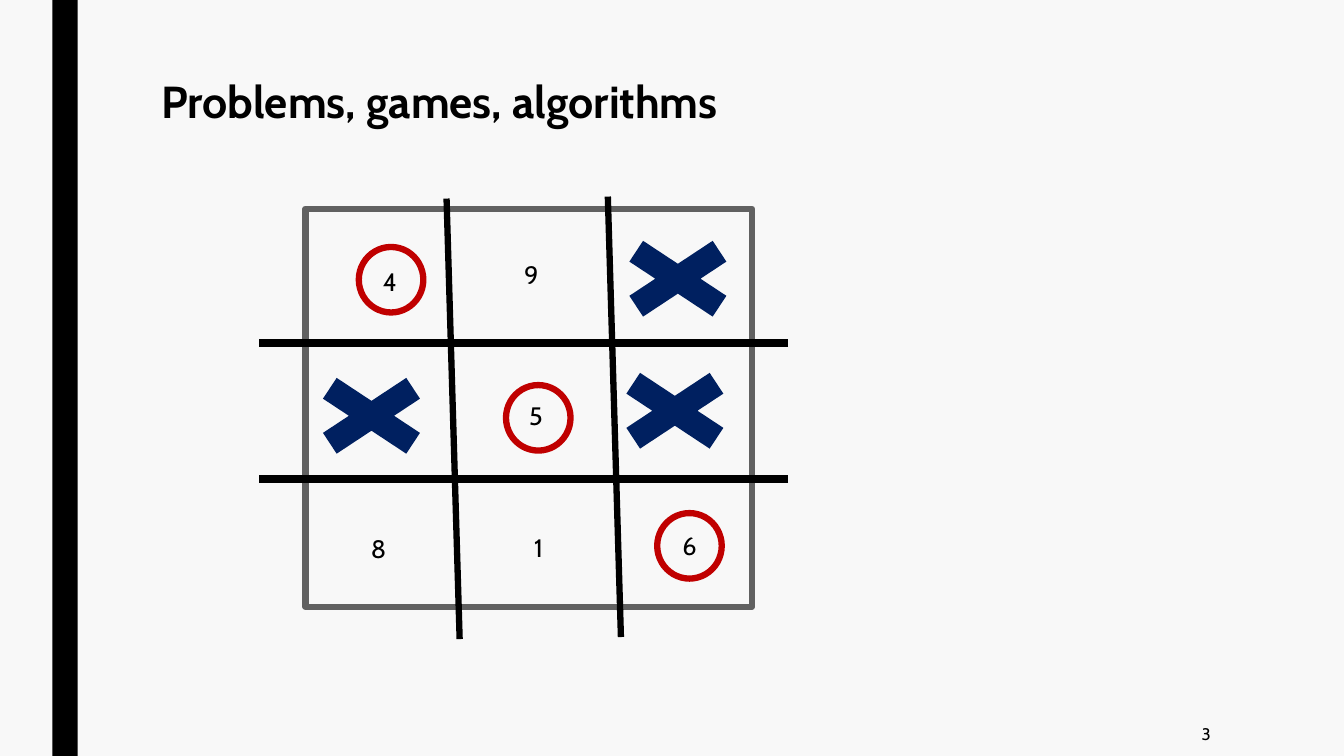
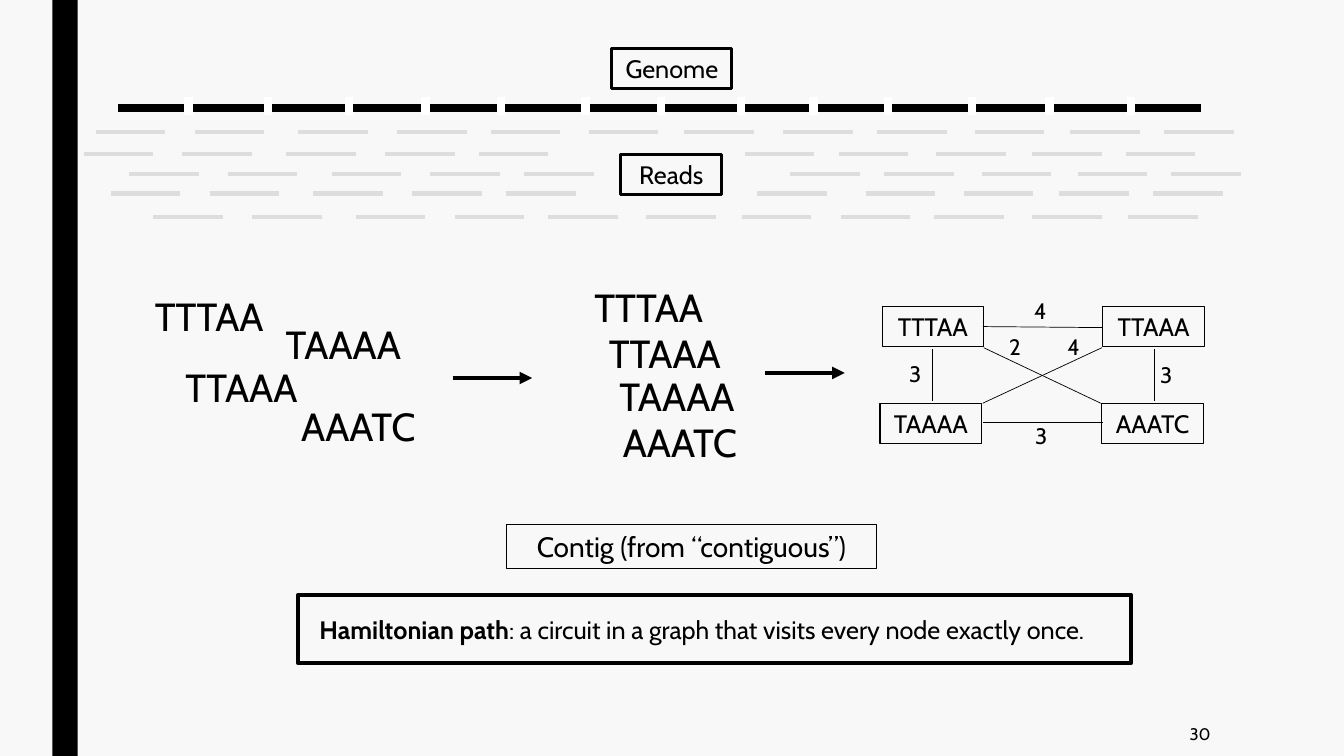
"""Build two slides: a tic-tac-toe number game and genome assembly from reads."""
from dataclasses import dataclass
from typing import NamedTuple, Optional

from lxml import etree
from pptx import Presentation
from pptx.dml.color import RGBColor
from pptx.enum.shapes import MSO_CONNECTOR, MSO_SHAPE
from pptx.enum.text import MSO_ANCHOR, MSO_AUTO_SIZE, PP_ALIGN
from pptx.oxml.ns import qn
from pptx.util import Emu, Inches, Pt

STRAIGHT = MSO_CONNECTOR.STRAIGHT
RECTANGLE, OVAL, CROSS = MSO_SHAPE.RECTANGLE, MSO_SHAPE.OVAL, MSO_SHAPE.MATH_MULTIPLY
LEFT, CENTER, RIGHT = PP_ALIGN.LEFT, PP_ALIGN.CENTER, PP_ALIGN.RIGHT
TOP, MIDDLE = MSO_ANCHOR.TOP, MSO_ANCHOR.MIDDLE
NO_AUTOFIT = MSO_AUTO_SIZE.NONE

CELL = Inches(0.1)
COLUMNS, ROWS = 133.33, 75
TITLE_ONLY, BLANK = 5, 6


@dataclass(frozen=True)
class Theme:
    """Colours, font and type sizes shared by all slides."""
    font: str = "Cabin"
    background: str = "F8F8F8"
    ink: str = "000000"
    frame: str = "616161"
    circle: str = "C00000"
    cross: str = "002060"
    gap: str = "FFFFFF"
    read: str = "DDDDDD"
    title: int = 32
    sequence: int = 28
    heading: int = 20
    body: int = 18
    weight: int = 16
    page: int = 12


class Box(NamedTuple):
    """A rectangle in grid cells."""
    left: float
    top: float
    width: float
    height: float


class Line(NamedTuple):
    """A straight line in grid cells."""
    start_x: float
    start_y: float
    end_x: float
    end_y: float


class Label(NamedTuple):
    """A text and the top left corner of its box."""
    text: str
    left: float
    top: float


class ReadRow(NamedTuple):
    """A run of reads on one level, shifted from the read columns."""
    level: float
    shift: float
    columns: range


THEME = Theme()
BAND = Box(5.2, 0, 2.5, ROWS)
TITLE = Box(15, 7.5, 105, 9.2)
PAGE = Box(103.6, 70.6, 17.5, 4.4)

BOARD = Box(30.3, 20.7, 44.3, 39.5)
BOARD_COLUMN_LINES = (Line(60.3, 19.5, 61.6, 63.2), Line(44.3, 19.7, 45.6, 63.4))
BOARD_ROW_LINES = tuple(Line(78.2, level, 25.7, level) for level in (34, 47.5))
DIGITS = (Label("4", 37, 25.9), Label("9", 51, 25.2), Label("5", 51.5, 39.2),
          Label("8", 35.8, 52.4), Label("1", 52, 52.3), Label("6", 66.7, 52.1))
CIRCLES = ((35.6, 24.5), (50.2, 38.2), (65.2, 50.9))
CROSSES = ((59.3, 22.4), (59, 35.5), (28.9, 36))

GENOME = Line(11.7, 10.7, 119.1, 10.7)
GENOME_GAPS = (18.7, 26.6, 34.6, 42.2, 49.7, 58.1, 65.6,
               73.5, 80.7, 88.1, 96.4, 104.1, 112.2)
READ_LENGTH = 6.9
READ_COLUMNS = (9.5, 19.3, 29.6, 39.4, 48.7, 58.4,
                67.9, 77.7, 87, 96.7, 106.2, 115.5)
READ_ROWS = (
    ReadRow(13.1, 0, range(12)),
    ReadRow(15.3, -1.2, range(5)), ReadRow(15.3, -3.8, range(7, 12)),
    ReadRow(17.3, 3.3, range(5)), ReadRow(17.3, 0.7, range(7, 12)),
    ReadRow(19.2, 1.5, range(5)), ReadRow(19.2, -2.6, range(7, 8)),
    ReadRow(19.2, -1.1, range(8, 12)),
    ReadRow(21.5, 5.7, range(11)),
)
SEQUENCES = (
    Label("TTTAA", 13.7, 28.5), Label("TAAAA", 27, 31.3),
    Label("TTAAA", 16.9, 35.6), Label("AAATC", 28.5, 39.4),
    Label("TTTAA", 57.3, 27.6), Label("TTAAA", 58.9, 32.2),
    Label("TAAAA", 60.1, 36.4), Label("AAATC", 60.4, 41),
)
NODES = (Label("TTTAA", 87.5, 30.4), Label("TTAAA", 109.4, 30.4),
         Label("TAAAA", 87.3, 40), Label("AAATC", 109.3, 40))
EDGES = (
    Line(97.5, 32.4, 109.4, 32.5), Line(97.5, 41.9, 109.4, 41.9),
    Line(92.5, 39.8, 92.5, 34.6), Line(114.5, 39.8, 114.5, 34.6),
    Line(97.5, 40, 109.3, 34.5), Line(97.6, 34.5, 109.2, 40),
)
WEIGHTS = (Label("4", 101.5, 29), Label("3", 114, 35.3), Label("3", 89.1, 35.2),
           Label("3", 101.6, 41.4), Label("4", 104.8, 32.6), Label("2", 99, 32.6))
STEPS = (Line(44.9, 37.5, 52.8, 37.5), Line(75.9, 37, 83.8, 37))


def cells(*counts: float) -> list[Emu]:
    """Convert grid cells to slide lengths."""
    return [Emu(round(count * CELL)) for count in counts]


def color(value: str) -> RGBColor:
    """Return the colour for a hexadecimal value."""
    return RGBColor.from_string(value)


def format_text(shape, size: int, alignment=LEFT, anchor=TOP, bold: bool = False,
                wrap: bool = True) -> None:
    """Apply the theme font and the given layout to the text of a shape."""
    frame = shape.text_frame
    frame.auto_size = NO_AUTOFIT
    frame.word_wrap = wrap
    frame.vertical_anchor = anchor
    for paragraph in frame.paragraphs:
        paragraph.alignment = alignment
        for run in paragraph.runs:
            run.font.name = THEME.font
            run.font.size = Pt(size)
            run.font.bold = bold
            run.font.color.rgb = color(THEME.ink)


def add_text(slide, text: str, box: Box, size: int, alignment=CENTER, anchor=TOP,
             wrap: bool = True) -> None:
    """Add a text box."""
    shape = slide.shapes.add_textbox(*cells(*box))
    shape.text_frame.text = text
    format_text(shape, size, alignment, anchor, wrap=wrap)


def add_shape(slide, kind, box: Box, fill: Optional[str] = None,
              line: Optional[str] = None, width: float = 0):
    """Add a preset shape with an optional fill and outline."""
    shape = slide.shapes.add_shape(kind, *cells(*box))
    shape.shadow.inherit = False
    if fill:
        shape.fill.solid()
        shape.fill.fore_color.rgb = color(fill)
    else:
        shape.fill.background()
    if line:
        shape.line.color.rgb = color(line)
        shape.line.width = Pt(width)
    else:
        shape.line.fill.background()
    return shape


def add_framed_text(slide, text: str, box: Box, size: int, width: float) -> None:
    """Add a centred text in an outlined box."""
    shape = add_shape(slide, RECTANGLE, box, line=THEME.ink, width=width)
    shape.text_frame.text = text
    format_text(shape, size, CENTER, MIDDLE)


def add_line(slide, line: Line, width: float, line_color: str = THEME.ink,
             arrow: bool = False) -> None:
    """Add a straight line, with an arrowhead at its end if asked."""
    connector = slide.shapes.add_connector(STRAIGHT, *cells(*line))
    connector.line.color.rgb = color(line_color)
    connector.line.width = Pt(width)
    properties = connector.element.spPr
    if arrow:
        etree.SubElement(properties.find(qn("a:ln")), qn("a:tailEnd"), type="triangle")
    etree.SubElement(properties, qn("a:effectLst"))


def add_slide(presentation, layout: int, page: str):
    """Add a slide with its page number."""
    slide = presentation.slides.add_slide(presentation.slide_layouts[layout])
    add_text(slide, page, PAGE, THEME.page, RIGHT, MIDDLE)
    return slide


def style_master(presentation, slide) -> None:
    """Give the master its background and the side band."""
    master = presentation.slide_master
    master.background.fill.solid()
    master.background.fill.fore_color.rgb = color(THEME.background)
    band = add_shape(slide, RECTANGLE, BAND, fill=THEME.ink)
    master.shapes.element.insert(2, band.element)


def set_title(slide, text: str) -> None:
    """Fill and place the title placeholder."""
    title = slide.shapes.title
    title.left, title.top, title.width, title.height = cells(*TITLE)
    title.text_frame.text = text
    title.text_frame.paragraphs[0].line_spacing = 0.89
    format_text(title, THEME.title, bold=True)


def draw_game(slide) -> None:
    """Draw the board with its digits, circles and crosses."""
    set_title(slide, "Problems, games, algorithms")
    add_shape(slide, RECTANGLE, BOARD, line=THEME.frame, width=4.5)
    for line in BOARD_COLUMN_LINES:
        add_line(slide, line, 4.5)
    for line in BOARD_ROW_LINES:
        add_line(slide, line, 6)
    for digit in DIGITS:
        add_text(slide, digit.text, Box(digit.left, digit.top, 3.5, 4),
                 THEME.body, LEFT, wrap=False)
    for left, top in CROSSES:
        add_shape(slide, CROSS, Box(left, top, 15.9, 10.5), fill=THEME.cross)
    for left, top in CIRCLES:
        add_shape(slide, OVAL, Box(left, top, 6.4, 6.5), line=THEME.circle, width=4.5)


def draw_genome(slide) -> None:
    """Draw the cut genome above its rows of reads."""
    add_framed_text(slide, "Genome", Box(60.7, 4.8, 11.9, 4), THEME.body, 2.25)
    add_line(slide, GENOME, 6)
    for gap in GENOME_GAPS:
        add_line(slide, Line(gap, 9.6, gap, 11.4), 6, THEME.gap)
    for row in READ_ROWS:
        for column in row.columns:
            start = READ_COLUMNS[column] + row.shift
            add_line(slide, Line(start, row.level, start + READ_LENGTH, row.level),
                     3, THEME.read)
    add_framed_text(slide, "Reads", Box(61.6, 15.3, 10, 4), THEME.body, 2.25)


def draw_assembly(slide) -> None:
    """Draw the reads, their alignment and the overlap graph."""
    for sequence in SEQUENCES:
        add_text(slide, sequence.text, Box(sequence.left, sequence.top, 14.1, 5.7),
                 THEME.sequence)
    for step in STEPS:
        add_line(slide, step, 3, arrow=True)
    for node in NODES:
        add_framed_text(slide, node.text, Box(node.left, node.top, 10.1, 4),
                        THEME.body, 0.75)
    for edge in EDGES:
        add_line(slide, edge, 0.5)
    for weight in WEIGHTS:
        add_text(slide, weight.text, Box(weight.left, weight.top, 3.4, 3.7), THEME.weight)


def draw_definitions(slide) -> None:
    """Draw the contig box and the definition of a Hamiltonian path."""
    add_framed_text(slide, "Contig (from “contiguous”)", Box(50.2, 52, 36.8, 4.4),
                    THEME.heading, 0.75)
    definition = add_shape(slide, RECTANGLE, Box(29.6, 59, 82.6, 6.8),
                           line=THEME.ink, width=3)
    definition.text_frame.margin_left = Inches(0.21)
    paragraph = definition.text_frame.paragraphs[0]
    paragraph.text = "Hamiltonian path"
    paragraph.add_run().text = ": a circuit in a graph that visits every node exactly once."
    format_text(definition, THEME.body, LEFT, MIDDLE)
    paragraph.runs[0].font.bold = True


def main() -> None:
    """Build and save the presentation."""
    presentation = Presentation()
    presentation.slide_width, presentation.slide_height = cells(COLUMNS, ROWS)
    game = add_slide(presentation, TITLE_ONLY, "3")
    style_master(presentation, game)
    draw_game(game)
    assembly = add_slide(presentation, BLANK, "30")
    draw_genome(assembly)
    draw_assembly(assembly)
    draw_definitions(assembly)
    presentation.save("out.pptx")


if __name__ == "__main__":
    main()
